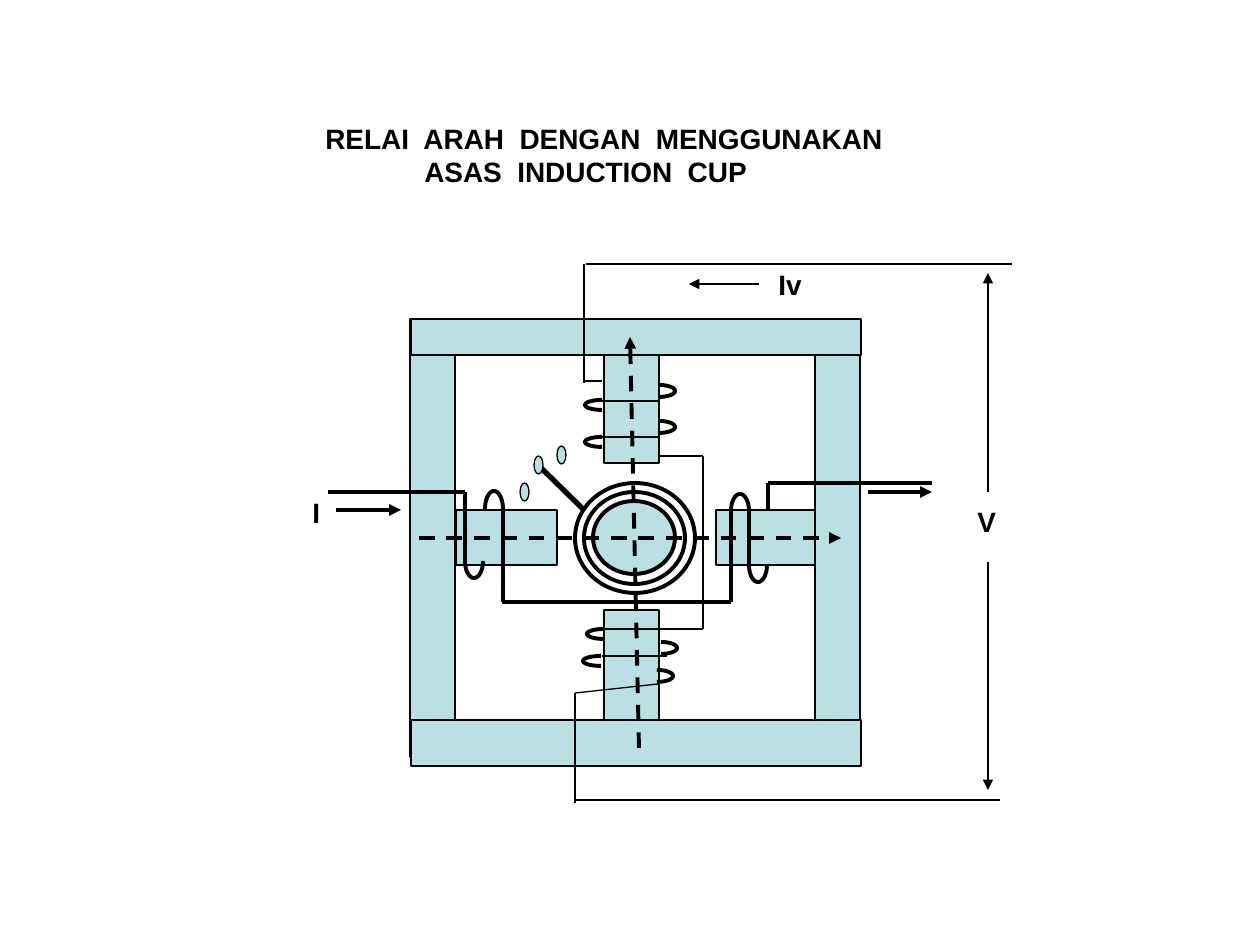
from math import cos, pi, radians, sin

from lxml import etree
from pptx import Presentation
from pptx.dml.color import RGBColor
from pptx.enum.dml import MSO_LINE
from pptx.enum.shapes import MSO_CONNECTOR, MSO_SHAPE
from pptx.enum.text import MSO_AUTO_SIZE
from pptx.oxml.ns import qn
from pptx.util import Emu, Pt

RECT, OVAL = MSO_SHAPE.RECTANGLE, MSO_SHAPE.OVAL
STRAIGHT, DASH = MSO_CONNECTOR.STRAIGHT, MSO_LINE.DASH
BLACK = RGBColor(0x00, 0x00, 0x00)
IRON = RGBColor(0xBB, 0xE0, 0xE3)
EMU_PER_PX = 914400 / 126
THIN, MEDIUM, THICK, HEAVY = 0.75, 1.5, 2.25, 3

# left, top, width, height
CUP = (593, 501, 82, 73)
RINGS = [(575, 483, 120, 110), (584, 492, 101, 92)]
POLES = [(716, 510, 101, 55), (604, 355, 55, 108), (456, 510, 101, 55), (604, 610, 55, 110)]
FRAME = [(410, 319, 45, 438), (815, 320, 45, 438), (411, 720, 450, 46), (411, 319, 450, 36)]
CONTACTS = [(520, 483, 9, 18), (534, 456, 9, 18), (557, 446, 9, 18)]

# Middle of the open side, half width, half height, start angle of the half turn
UP, DOWN, LEFT, RIGHT = 180, 0, 90, -90
TURNS = [
    (740, 511, 9, 17, UP), (494, 509, 9, 18, UP),
    (758, 565, 9, 17, DOWN), (474, 561, 9, 17, DOWN),
    (602, 405, 17, 5, LEFT), (602, 442, 17, 5, LEFT),
    (604, 634, 17, 5, LEFT), (601, 661, 18, 5, LEFT),
    (659, 391, 16, 6, RIGHT), (659, 427, 16, 6, RIGHT),
    (661, 648, 16, 6, RIGHT), (657, 676, 16, 6, RIGHT),
]

# x1, y1, x2, y2, width
CURRENT_WIRES = [
    (465, 566, 465, 492, THICK), (503, 510, 503, 602, THICK), (749, 510, 749, 566, THICK),
    (502, 602, 731, 602, THICK), (731, 510, 731, 602, THICK), (768, 510, 768, 483, THICK),
    (328, 492, 465, 492, THICK), (768, 483, 932, 483, THICK),
]
VOLTAGE_WIRES = [
    (602, 401, 658, 401, THIN), (602, 437, 658, 437, THIN),
    (585, 381, 602, 381, MEDIUM), (584, 383, 584, 264, MEDIUM),
    (658, 456, 703, 456, MEDIUM), (703, 456, 703, 629, MEDIUM), (602, 629, 703, 629, MEDIUM),
    (602, 656, 667, 656, THIN), (658, 684, 575, 693, THIN), (575, 693, 575, 803, MEDIUM),
    (575, 800, 1000, 800, MEDIUM), (586, 264, 1012, 264, MEDIUM),
]
CONTACT_ARM = (584, 510, 538, 465, HEAVY)
ARROWS = [
    (336, 510, 401, 510, THICK), (868, 492, 932, 492, THICK),
    (988, 492, 988, 273, THIN), (988, 562, 988, 790, THIN), (759, 284, 689, 284, THIN),
]
FLUX_AXES = [(419, 538, 841, 538, THICK), (639, 748, 630, 337, THICK)]

# left, top, width, height, lines as (text, indent)
LABELS = [
    (300, 489, 33, 46, [("I", 0)]),
    (965, 498, 44, 46, [("V", 0)]),
    (766, 261, 54, 46, [("Iv", 0)]),
    (313, 115, 594, 80, [("RELAI  ARAH  DENGAN  MENGGUNAKAN", 0), ("ASAS  INDUCTION  CUP", 99)]),
]


def px(value):
    return Emu(round(value * EMU_PER_PX))


def outline(shape, width):
    shape.line.color.rgb = BLACK
    shape.line.width = Pt(width)


def add_solid(kind, box, width, fill=None):
    s = shapes.add_shape(kind, *map(px, box))
    s.shadow.inherit = False
    if fill is None:
        s.fill.background()
    else:
        s.fill.solid()
        s.fill.fore_color.rgb = fill
    outline(s, width)


def add_turn(cx, cy, rx, ry, start, steps=24):
    """Draw one half turn of a coil as an open outline."""
    angles = [radians(start) + pi * i / steps for i in range(steps + 1)]
    points = [(px(cx + rx * cos(a)), px(cy + ry * sin(a))) for a in angles]
    builder = shapes.build_freeform(*points[0])
    builder.add_line_segments(points[1:], close=False)
    s = builder.convert_to_shape()
    s.shadow.inherit = False
    s.fill.background()
    outline(s, THICK)


def add_line(x1, y1, x2, y2, width, arrow=False, dash=None):
    c = shapes.add_connector(STRAIGHT, px(x1), px(y1), px(x2), px(y2))
    outline(c, width)
    if dash is not None:
        c.line.dash_style = dash
    if arrow:
        etree.SubElement(c.line._get_or_add_ln(), qn("a:tailEnd"), type="triangle")
    etree.SubElement(c._element.spPr, qn("a:effectLst"))


def add_label(left, top, width, height, lines):
    tf = shapes.add_textbox(px(left), px(top), px(width), px(height)).text_frame
    tf.word_wrap = False
    tf.auto_size = MSO_AUTO_SIZE.SHAPE_TO_FIT_TEXT
    for i, (text, indent) in enumerate(lines):
        p = tf.add_paragraph() if i else tf.paragraphs[0]
        if indent:
            p._p.get_or_add_pPr().set("marL", str(px(indent)))
        r = p.add_run()
        r.text = text
        r.font.name = "Arial"
        r.font.size = Pt(16)
        r.font.bold = True
        r.font.color.rgb = BLACK


prs = Presentation()
prs.slide_width, prs.slide_height = px(1260), px(945)
shapes = prs.slides.add_slide(prs.slide_layouts[6]).shapes

add_solid(OVAL, CUP, THICK, IRON)
for ring in RINGS:
    add_solid(OVAL, ring, THICK)
for bar in POLES + FRAME:
    add_solid(RECT, bar, THIN, IRON)
for turn in TURNS:
    add_turn(*turn)
for wire in CURRENT_WIRES + VOLTAGE_WIRES:
    add_line(*wire)
for arrow in ARROWS:
    add_line(*arrow, arrow=True)
for axis in FLUX_AXES:
    add_line(*axis, arrow=True, dash=DASH)
add_line(*CONTACT_ARM)
for contact in CONTACTS:
    add_solid(OVAL, contact, THIN, IRON)
for label in LABELS:
    add_label(*label)

prs.save("out.pptx")
